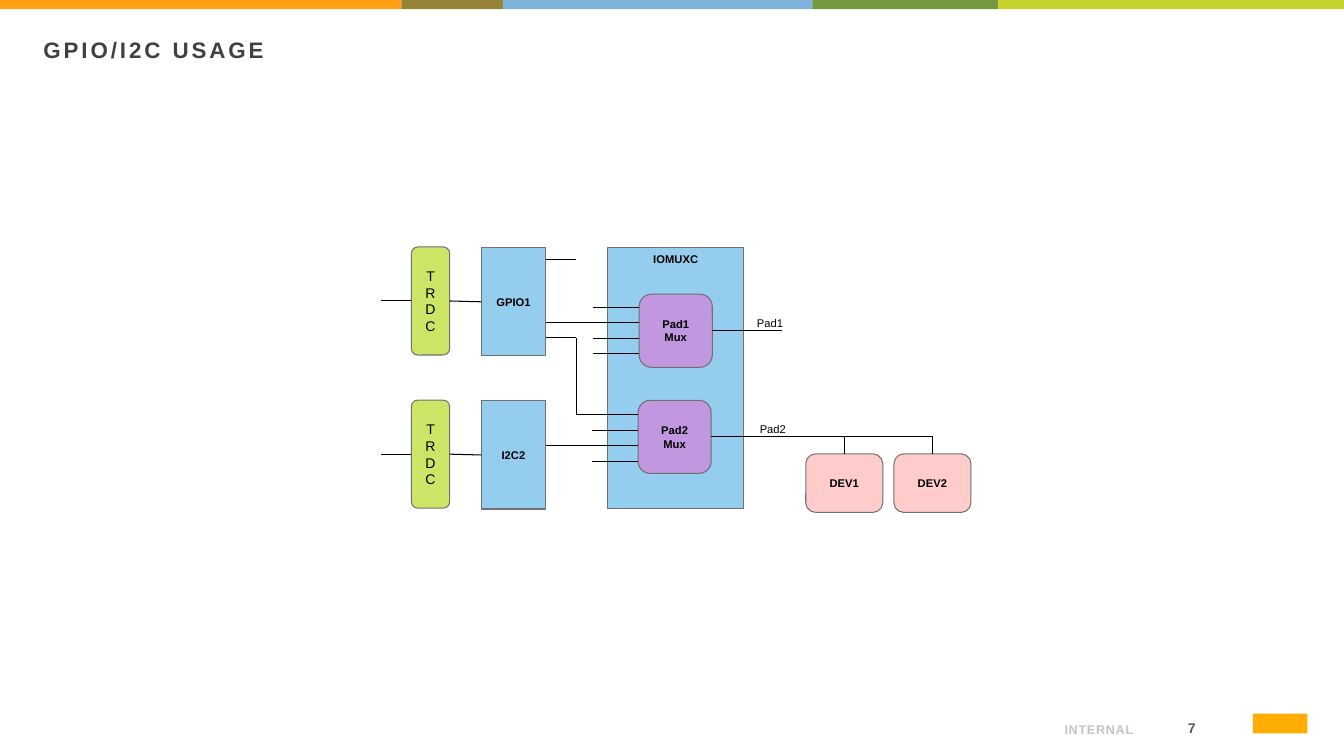
from lxml import etree
from pptx import Presentation
from pptx import util as u
from pptx.dml.color import RGBColor
from pptx.enum import shapes as es, text as et
from pptx.oxml.ns import qn

Pt = u.Pt
RECT, ROUND = es.MSO_SHAPE.RECTANGLE, es.MSO_SHAPE.ROUNDED_RECTANGLE
TOP, MID, LOW = et.MSO_ANCHOR.TOP, et.MSO_ANCHOR.MIDDLE, et.MSO_ANCHOR.BOTTOM
LEFT, MIDST, RIGHT = et.PP_ALIGN.LEFT, et.PP_ALIGN.CENTER, et.PP_ALIGN.RIGHT
BLUE, GREEN, MAUVE, PINK = "95CDEE", "CBE666", "C198E0", "FFCCCC"
BLACK = "000000"


def rgb(code):
    return RGBColor.from_string(code)


def write(shape, words, size, color=BLACK, bold=False, align=LEFT,
          anchor=MID, track=0):
    frame = shape.text_frame
    frame.text = words
    frame.word_wrap = True
    frame.vertical_anchor = anchor
    para = frame.paragraphs[0]
    para.alignment = align
    run = para.runs[0]
    font = run.font
    font.name, font.size, font.bold = "Arial", Pt(size), bold
    font.color.rgb = rgb(color)
    if track:
        run._r.get_or_add_rPr().set("spc", str(round(track * 100)))


def block(slide, kind, box, fill, edge=None):
    shape = slide.shapes.add_shape(kind, *map(Pt, box))
    shape.shadow.inherit = False
    shape.fill.solid()
    shape.fill.fore_color.rgb = rgb(fill)
    if edge:
        shape.line.color.rgb = rgb(edge)
        shape.line.width = Pt(0.75)
    else:
        shape.line.fill.background()
    return shape


def node(slide, kind, box, fill, words, size=8, bold=True, anchor=MID):
    shape = block(slide, kind, box, fill, "707070")
    write(shape, words, size, bold=bold, align=MIDST, anchor=anchor)
    return shape


def label(slide, box, words, size, **style):
    write(slide.shapes.add_textbox(*map(Pt, box)), words, size, **style)


def wire(slide, x1, y1, x2, y2, start=None, end=None):
    """Start and end are (shape, side) pairs to join."""
    line = slide.shapes.add_connector(
        es.MSO_CONNECTOR.STRAIGHT, Pt(x1), Pt(y1), Pt(x2), Pt(y2))
    line.line.color.rgb = rgb(BLACK)
    line.line.width = Pt(0.75)
    etree.SubElement(line._element.spPr, qn("a:effectLst"))
    if start:
        line.begin_connect(*start)
    if end:
        line.end_connect(*end)


def banner(slide, x, y, high):
    bands = [(286.6, "FFA015"), (72.7, "958436"), (221, "7DB2DB"),
             (132.5, "73983E"), (247.2, "C7D22D")]
    for wide, color in bands:
        block(slide, RECT, (x, y, wide, high), color)
        x += wide


def header(slide, x, y, wide, high):
    title = slide.shapes.title
    title.left, title.top, title.width, title.height = map(
        Pt, (x, y, wide, high))
    write(title, "GPIO/I2C USAGE", 16, "404040", True, anchor=TOP, track=2.1)


def footer(slide, x, y):
    label(slide, (x, y, 203.8, 24.5), "INTERNAL", 9, color="C4C4C4",
          bold=True, align=RIGHT, anchor=LOW, track=0.5)
    label(slide, (x + 201.6, y + 3.6, 46.8, 21.6), "7", 10, color="595959",
          bold=True, align=RIGHT, track=3)
    # Plain mark in the corner
    block(slide, RECT, (x + 282.3, y + 4.4, 38.9, 14), "FFAD00")


def source(slide, x, y, name):
    """Guard and peripheral; returns the peripheral's right edge."""
    guard = node(slide, ROUND, (x + 21.6, y, 27.4, 77.2), GREEN, "TRDC",
                 10, False)
    unit = node(slide, RECT, (x + 71.6, y + 0.6, 46, 77.2), BLUE, name)
    mid = y + 38.6
    wire(slide, x, mid, x + 21.6, mid, end=(guard, 1))
    wire(slide, x + 49, mid, x + 71.6, mid, (guard, 3), (unit, 1))
    return x + 117.6


def mux(slide, x, y, name, first, starts):
    """Pad mux with one input per start; returns its shape."""
    shape = node(slide, ROUND, (x, y, 52.2, 52.2), MAUVE, name)
    for i, start in enumerate(starts):
        lane = y + first + 11 * i
        wire(slide, start, lane, x, lane)
    return shape


def diagram(slide, x, y):
    # Peripherals and pin controller
    edge = source(slide, x, y, "GPIO1")
    source(slide, x, y + 109.4, "I2C2")
    node(slide, RECT, (x + 162, y + 0.2, 97, 186.6), BLUE, "IOMUXC",
         anchor=TOP)

    # Muxes with their inputs
    bend = edge + 22
    left1, top1 = x + 184.4, y + 33.8
    left2, top2 = x + 183.6, y + 109.6
    stub1, stub2 = left1 - 32.8, left2 - 32.8
    pad1 = mux(slide, left1, top1, "Pad1 Mux", 9.4,
               [stub1, edge, stub1, stub1])
    pad2 = mux(slide, left2, top2, "Pad2 Mux", 10.4,
               [bend, stub2, edge, stub2])

    # GPIO1 spare pin and its branch to the second mux
    wire(slide, edge, y + 8.8, bend, y + 8.8)
    wire(slide, edge, y + 65, bend, y + 65)
    wire(slide, bend, y + 65, bend, top2 + 10.4)

    # Devices on the bus
    bus = top2 + 26.1
    for i in range(2):
        dev = x + 303.4 + 63 * i
        shape = node(slide, ROUND, (dev, y + 147.8, 55, 41.8), PINK,
                     f"DEV{i + 1}")
        drop = dev + 27.5
        wire(slide, drop, y + 147.8, drop, bus, start=(shape, 0))

    # Pad outputs
    outs = [(pad1, "Pad1", left1, top1, x + 286.6, x + 261.4),
            (pad2, "Pad2", left2, top2, drop, x + 263.4)]
    for shape, name, left, top, end, text in outs:
        mid = top + 26.1
        wire(slide, left + 52.2, mid, end, mid, start=(shape, 3))
        label(slide, (text, mid - 14, 40, 16.6), name, 8, anchor=TOP)


def main():
    deck = Presentation()
    deck.slide_width, deck.slide_height = Pt(960), Pt(540)
    slide = deck.slides.add_slide(deck.slide_layouts[5])
    banner(slide, 0, 0, 6.5)
    header(slide, 23.8, 22.3, 918, 51.8)
    diagram(slide, 272.2, 176.4)
    footer(slide, 612.7, 505.4)
    deck.save("out.pptx")


if __name__ == "__main__":
    main()
